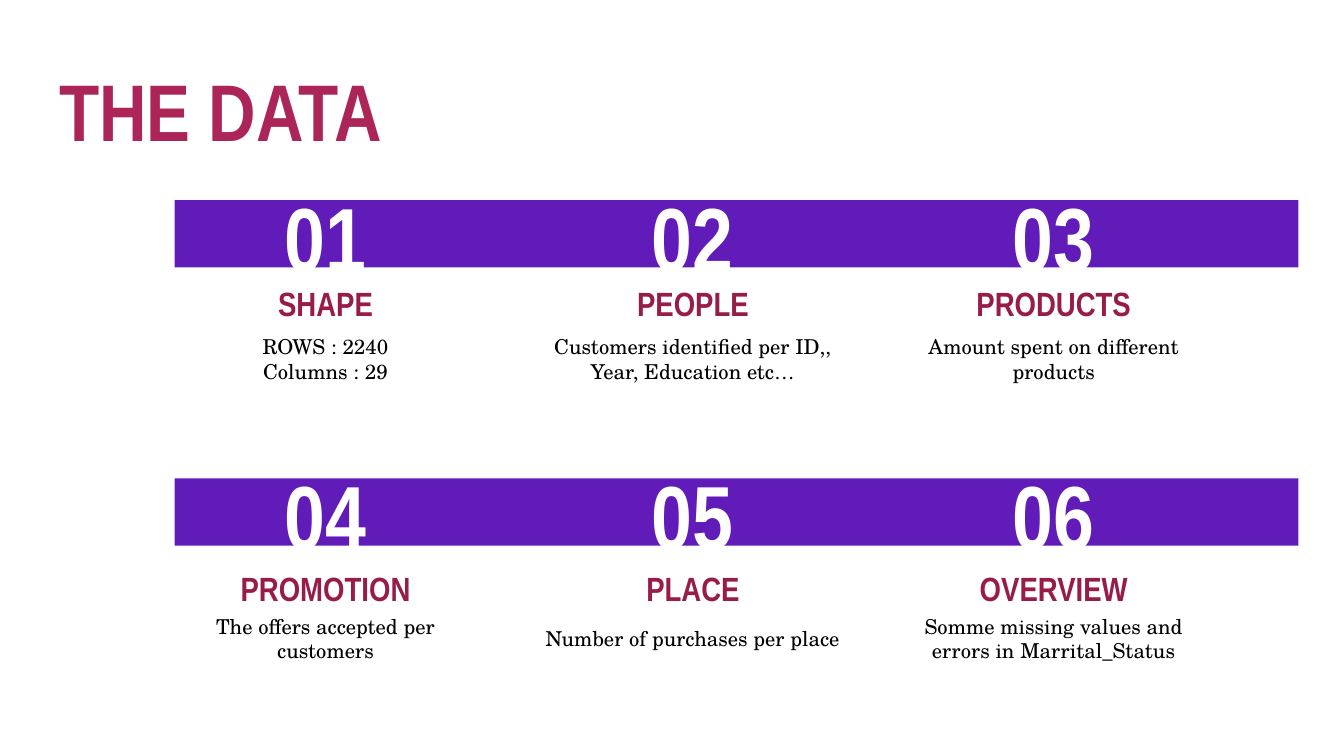
"""Build the slide "THE DATA": six numbered topics under two purple bars."""
from pptx import Presentation
from pptx.dml.color import RGBColor
from pptx.enum.shapes import MSO_SHAPE
from pptx.enum.text import MSO_ANCHOR as ANCHOR, MSO_AUTO_SIZE as AUTO, PP_ALIGN as ALIGN
from pptx.util import Pt

COLORS = {"bar": "611BB8", "title": "AB2558", "heading": "971C4A",
          "number": "FFFFFF", "body": "000000"}
HEAD_FONT, BODY_FONT = "Arial Narrow", "TeX Gyre Schola"
CENTERS = [174.4, 371.2, 564.5]
ROWS = [
    {"bar": 107.3, "heading": 151.4, "body": 173.5, "spacing": 1.0, "topics": [
        ("01", "SHAPE", "ROWS : 2240\nColumns : 29", 167),
        ("02", "PEOPLE", "Customers identified per ID,, Year, Education etc…", 184.3),
        ("03", "PRODUCTS", "Amount spent on different products", 178.6)]},
    {"bar": 256.3, "heading": 302.4, "body": 323.3, "spacing": 1.15, "topics": [
        ("04", "PROMOTION", "The offers accepted per customers", 167),
        ("05", "PLACE", "Number of purchases per place", 174.2),
        ("06", "OVERVIEW", "Somme missing values and errors in Marrital_Status", 174.2)]},
]


def write(sp, text, size, color, font=HEAD_FONT, bold=True, align=ALIGN.CENTER, spacing=1.0):
    tf = sp.text_frame
    tf.text = text
    tf.word_wrap = True
    tf.auto_size = AUTO.NONE
    tf.vertical_anchor = ANCHOR.MIDDLE
    tf.margin_left = tf.margin_right = tf.margin_top = tf.margin_bottom = Pt(7.2)
    for p in tf.paragraphs:
        p.alignment = align
        p.line_spacing = spacing
        for r in p.runs:
            r.font.name = font
            r.font.size = Pt(size)
            r.font.bold = bold
            r.font.color.rgb = RGBColor.from_string(COLORS[color])


def add_label(center, top, width, height, *args, **kwargs):
    sp = s.shapes.add_textbox(Pt(center - width / 2), Pt(top), Pt(width), Pt(height))
    write(sp, *args, **kwargs)


prs = Presentation()
prs.slide_width, prs.slide_height = Pt(720), Pt(405)
s = prs.slides.add_slide(prs.slide_layouts[5])

title = s.shapes.title
title.left, title.top, title.width, title.height = Pt(24.5), Pt(30.2), Pt(303), Pt(57)
write(title, "THE DATA", 43, "title", align=ALIGN.LEFT)

for row in ROWS:
    bar = s.shapes.add_shape(MSO_SHAPE.RECTANGLE, Pt(93.6), Pt(row["bar"]), Pt(602), Pt(36))
    bar.shadow.inherit = False
    bar.fill.solid()
    bar.fill.fore_color.rgb = RGBColor.from_string(COLORS["bar"])
    bar.line.fill.background()
    for center, (number, heading, body, width) in zip(CENTERS, row["topics"]):
        add_label(center, row["bar"], 76.3, 37.4, number, 48, "number")
        add_label(center, row["heading"], 147.6, 22, heading, 18, "heading",
                  spacing=row["spacing"])
        add_label(center, row["body"], width, 37.4, body, 11, "body",
                  font=BODY_FONT, bold=False)

prs.save("out.pptx")
